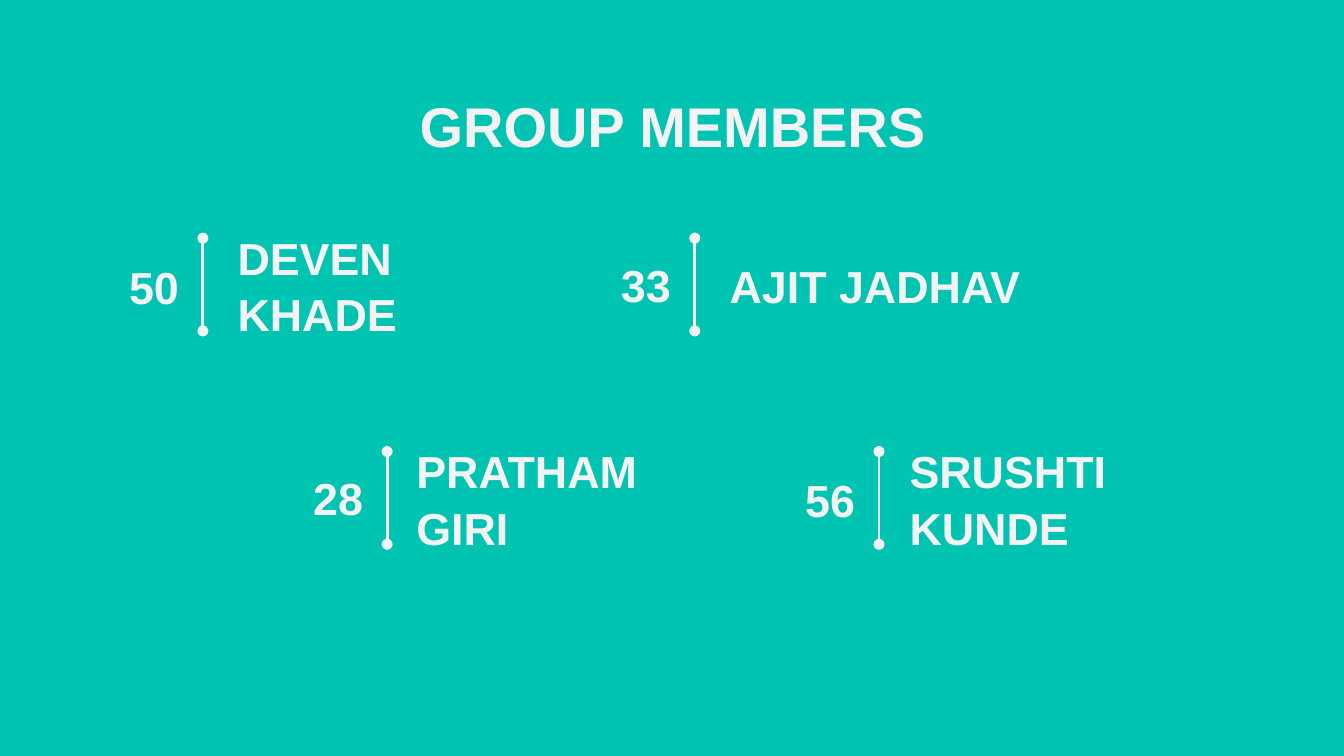
from lxml import etree
from pptx import Presentation
from pptx.dml.color import RGBColor
from pptx.enum.shapes import MSO_CONNECTOR
from pptx.enum.text import MSO_ANCHOR, PP_ALIGN
from pptx.oxml.ns import qn
from pptx.util import Pt

LEFT, CENTER, RIGHT = PP_ALIGN.LEFT, PP_ALIGN.CENTER, PP_ALIGN.RIGHT
TOP, MIDDLE = MSO_ANCHOR.TOP, MSO_ANCHOR.MIDDLE
STRAIGHT = MSO_CONNECTOR.STRAIGHT

TEAL, WHITE = "00C3B1", "F3F3F3"
TITLE = "GROUP MEMBERS"
# number, name, divider x, divider top, name left, number top
MEMBERS = [
    ("50", "DEVEN KHADE", 108.7, 127.6, 120.2, 136.1),
    ("33", "AJIT JADHAV", 372.2, 127.6, 383.8, 135.4),
    ("28", "PRATHAM GIRI", 207.4, 241.9, 216, 249.1),
    ("56", "SRUSHTI KUNDE", 470.9, 241.9, 480.2, 250.6),
]
DIVIDER_H = 49.7
NAME_W, NUMBER_W, ROW_H = 184.3, 47.5, 33.1
NAME_DROP, NUMBER_OFFSET = 8.3, 53.3


def color(value):
    return RGBColor.from_string(value)


def add_text(s, text, x, y, w, h, size=24, align=LEFT, anchor=MIDDLE):
    tf = s.shapes.add_textbox(Pt(x), Pt(y), Pt(w), Pt(h)).text_frame
    tf.word_wrap = True
    tf.vertical_anchor = anchor
    tf.margin_left = tf.margin_right = Pt(7.2)
    tf.margin_top = tf.margin_bottom = Pt(7.2)
    p = tf.paragraphs[0]
    p.alignment = align
    p.line_spacing = 1.05
    r = p.add_run()
    r.text = text
    r.font.name, r.font.size, r.font.bold = "Arial", Pt(size), True
    r.font.color.rgb = color(WHITE)


def add_divider(s, x, y):
    """Vertical line with a dot at each end."""
    line = s.shapes.add_connector(STRAIGHT, Pt(x), Pt(y), Pt(x), Pt(y + DIVIDER_H))
    line.line.color.rgb = color(WHITE)
    line.line.width = Pt(1.5)
    ln = line.line._get_or_add_ln()
    for end in ("a:headEnd", "a:tailEnd"):
        etree.SubElement(ln, qn(end), type="oval", w="med", len="med")
    etree.SubElement(line._element.spPr, qn("a:effectLst"))


prs = Presentation()
prs.slide_width, prs.slide_height = Pt(720), Pt(405)
s = prs.slides.add_slide(prs.slide_layouts[6])
s.background.fill.solid()
s.background.fill.fore_color.rgb = color(TEAL)

add_text(s, TITLE, 56.9, 40.3, 607, 45.4, size=30, align=CENTER, anchor=TOP)
for number, name, x, y, name_x, number_y in MEMBERS:
    add_text(s, name, name_x, y + NAME_DROP, NAME_W, ROW_H)
    add_text(s, number, x - NUMBER_OFFSET, number_y, NUMBER_W, ROW_H, align=RIGHT)
    add_divider(s, x, y)

prs.save("out.pptx")
